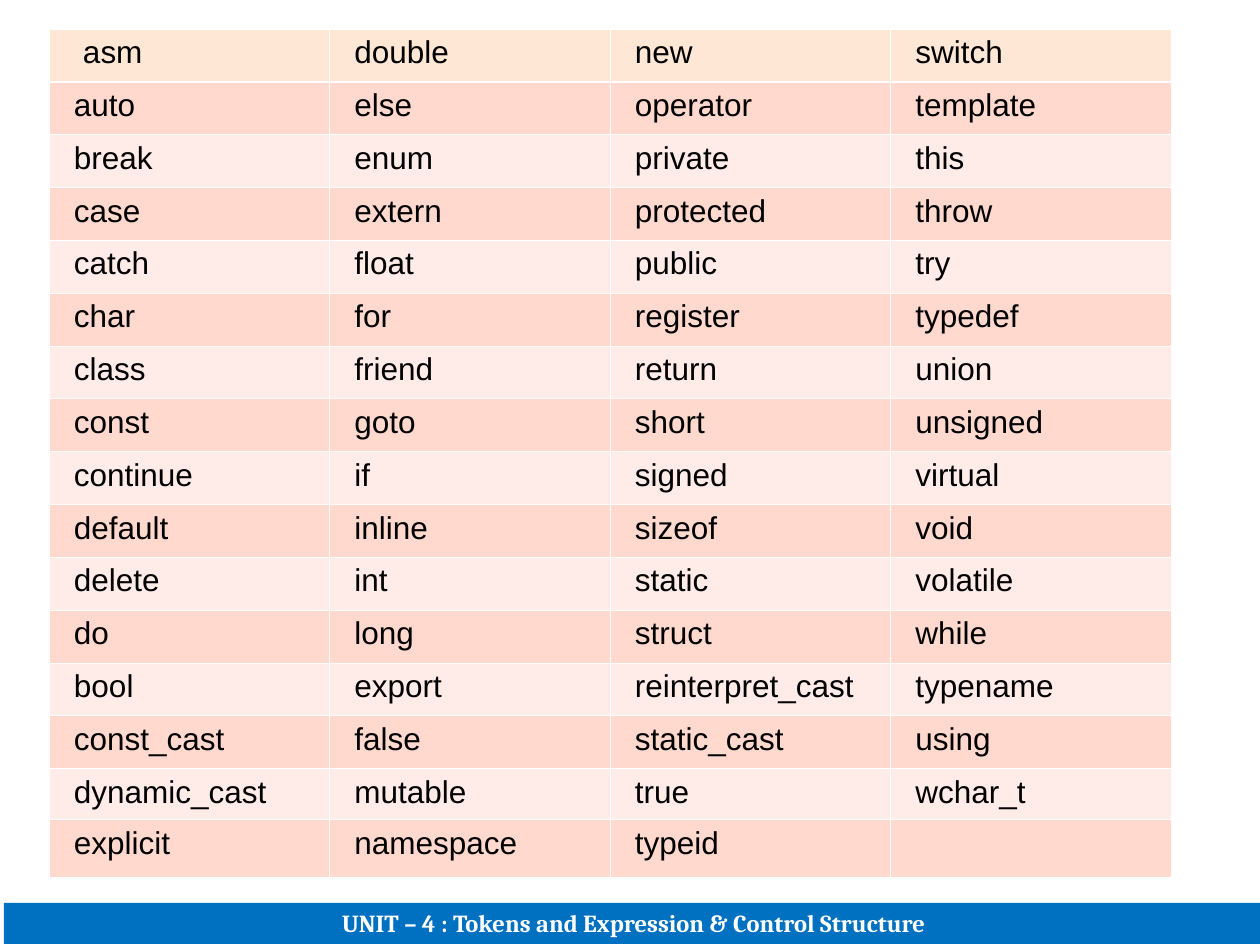
from lxml import etree
from pptx import Presentation
from pptx.dml.color import RGBColor
from pptx.enum.shapes import MSO_SHAPE as SHAPE
from pptx.enum.text import MSO_ANCHOR as ANCHOR, PP_ALIGN as ALIGN
from pptx.oxml.ns import qn
from pptx.util import Emu, Pt

SCALE = 914400 / 126
COLORS = {
    "header": "FFE7D6",
    "odd": "FFD9CE",
    "even": "FFECE8",
    "banner": "0070C0",
    "black": "000000",
    "white": "FFFFFF",
}
KEYWORDS = [
    "asm double new switch",
    "auto else operator template",
    "break enum private this",
    "case extern protected throw",
    "catch float public try",
    "char for register typedef",
    "class friend return union",
    "const goto short unsigned",
    "continue if signed virtual",
    "default inline sizeof void",
    "delete int static volatile",
    "do long struct while",
    "bool export reinterpret_cast typename",
    "const_cast false static_cast using",
    "dynamic_cast mutable true wchar_t",
    "explicit namespace typeid",
]
ROW_HEIGHTS = [740 / 14] * 14 + [51, 58]
COLUMNS = 4


def px(n):
    """Turn pixels into EMU."""
    return Emu(round(n * SCALE))


def rgb(name):
    """Look up a named colour."""
    return RGBColor.from_string(COLORS[name])


def format_text(p, font, size, color, bold=False):
    """Format every run of a paragraph."""
    for r in p.runs:
        r.font.name = font
        r.font.size = Pt(size)
        r.font.bold = bold
        r.font.color.rgb = rgb(color)


def set_borders(cell, top, bottom):
    """Draw white cell borders, with widths in points for top and bottom."""
    tc_pr = cell._tc.get_or_add_tcPr()
    widths = {"a:lnL": 0.45, "a:lnR": 0.45, "a:lnT": top, "a:lnB": bottom}
    for i, (tag, width) in enumerate(widths.items()):
        ln = etree.Element(qn(tag), w=str(Pt(width)))
        fill = etree.SubElement(ln, qn("a:solidFill"))
        etree.SubElement(fill, qn("a:srgbClr"), val=COLORS["white"])
        tc_pr.insert(i, ln)


def fill_cell(cell, row, col, word):
    """Write a keyword and style its cell."""
    cell.margin_left = px(34 if row == col == 0 else 25)
    cell.margin_right = px(12)
    cell.margin_top = px(6)
    cell.margin_bottom = px(6)
    cell.vertical_anchor = ANCHOR.TOP
    cell.fill.solid()
    band = "header" if row == 0 else "odd" if row % 2 else "even"
    cell.fill.fore_color.rgb = rgb(band)
    set_borders(cell, 1.47 if row == 1 else 0.45, 1.47 if row == 0 else 0.45)
    if word:
        cell.text_frame.text = word
        format_text(cell.text_frame.paragraphs[0], "Arial", 18, "black")


def add_keyword_table(s):
    """Add the banded table of keywords."""
    frame = s.shapes.add_table(len(KEYWORDS), COLUMNS, px(49), px(29),
                               px(1122), px(sum(ROW_HEIGHTS)))
    table = frame.table
    for row, line in enumerate(KEYWORDS):
        table.rows[row].height = px(ROW_HEIGHTS[row])
        words = line.split()
        for col in range(COLUMNS):
            word = words[col] if col < len(words) else ""
            fill_cell(table.cell(row, col), row, col, word)


def add_banner(s, text):
    """Add the unit banner along the bottom."""
    sp = s.shapes.add_shape(SHAPE.RECTANGLE, px(4), px(903), px(1260), px(41))
    sp.shadow.inherit = False
    sp.fill.solid()
    sp.fill.fore_color.rgb = rgb("banner")
    sp.line.fill.background()
    tf = sp.text_frame
    tf.word_wrap = True
    tf.vertical_anchor = ANCHOR.BOTTOM
    tf.text = text
    p = tf.paragraphs[0]
    p.alignment = ALIGN.CENTER
    format_text(p, "Cambria", 14, "white", bold=True)


def main():
    """Build the slide and save it."""
    prs = Presentation()
    prs.slide_width, prs.slide_height = px(1260), px(945)
    s = prs.slides.add_slide(prs.slide_layouts[6])
    add_keyword_table(s)
    add_banner(s, "UNIT – 4 : Tokens and Expression & Control Structure")
    prs.save("out.pptx")


main()
